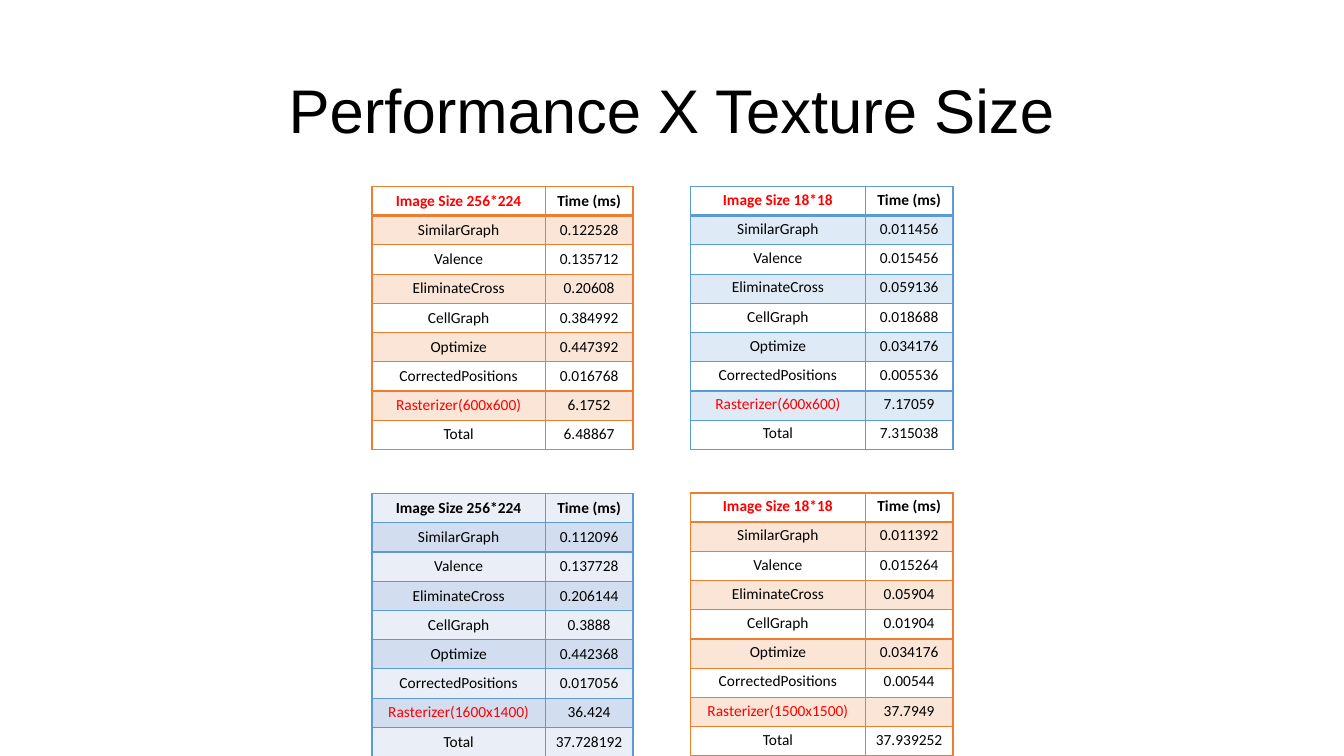
from lxml.etree import SubElement
from pptx import Presentation
from pptx.dml.color import RGBColor
from pptx.enum.text import MSO_ANCHOR, PP_ALIGN
from pptx.oxml.ns import qn
from pptx.util import Pt

COLORS = {
    "black": "000000", "red": "FF0000",
    "blue": "5B9BD5", "blue_band": "DEEBF7",
    "orange": "ED7D31", "orange_band": "FBE5D6",
    "pale": "EAEFF7", "pale_band": "D2DEEF",
}
STAGES = ["SimilarGraph", "Valence", "EliminateCross", "CellGraph",
          "Optimize", "CorrectedPositions"]
ROW_HEIGHT = 20.88
TIME_WIDTH = 62.64

# Per table: left, top, stage column width, side and top insets,
# line, plain fill, band fill, header colour, header underline,
# image size, raster size, times
TABLES = [
    (493.2, 133.2, 124.9, 5.76, 2.88, "blue", None, "blue_band", "red", 2,
     "18*18", "600x600",
     ["0.011456", "0.015456", "0.059136", "0.018688", "0.034176",
      "0.005536", "7.17059", "7.315038"]),
    (265.68, 133.2, 123.84, 7.2, 3.6, "orange", None, "orange_band", "red", 2,
     "256*224", "600x600",
     ["0.122528", "0.135712", "0.20608", "0.384992", "0.447392",
      "0.016768", "6.1752", "6.48867"]),
    (493.2, 352.08, 124.9, 5.76, 2.88, "orange", None, "orange_band", "red", 2,
     "18*18", "1500x1500",
     ["0.011392", "0.015264", "0.05904", "0.01904", "0.034176",
      "0.00544", "37.7949", "37.939252"]),
    (265.68, 352.6, 123.84, 7.2, 3.6, "blue", "pale", "pale_band", "black", 1,
     "256*224", "1600x1400",
     ["0.112096", "0.137728", "0.206144", "0.3888", "0.442368",
      "0.017056", "36.424", "37.728192"]),
]


def format_run(p, font, size, color, bold=False):
    p.alignment = PP_ALIGN.CENTER
    r = p.runs[0]
    r.font.name = font
    r.font.size = Pt(size)
    r.font.bold = bold
    r.font.color.rgb = RGBColor.from_string(COLORS[color])


def set_borders(cell, color, bottom):
    tc_pr = cell._tc.get_or_add_tcPr()
    for side, width in (("L", 1), ("R", 1), ("T", 1), ("B", bottom)):
        ln = SubElement(tc_pr, qn("a:ln" + side), w=str(Pt(width)))
        fill = SubElement(ln, qn("a:solidFill"))
        SubElement(fill, qn("a:srgbClr"), val=COLORS[color])


prs = Presentation()
prs.slide_width, prs.slide_height = Pt(960), Pt(540)
s = prs.slides.add_slide(prs.slide_layouts[6])

# Title
sp = s.shapes.add_textbox(Pt(66), Pt(28.8), Pt(828), Pt(104.4))
tf = sp.text_frame
tf.word_wrap = True
tf.vertical_anchor = MSO_ANCHOR.MIDDLE
tf.text = "Performance X Texture Size"
p = tf.paragraphs[0]
p.line_spacing = 0.9
format_run(p, "Arial", 44, "black")

# Timing tables
for (left, top, stage_width, side_inset, top_inset, line, plain, band,
     header_color, underline, image_size, raster_size, times) in TABLES:
    labels = [f"Image Size {image_size}", *STAGES,
              f"Rasterizer({raster_size})", "Total"]
    rows = list(zip(labels, ["Time (ms)", *times]))
    frame = s.shapes.add_table(len(rows), 2, Pt(left), Pt(top),
                               Pt(stage_width + TIME_WIDTH),
                               Pt(ROW_HEIGHT * len(rows)))
    table = frame.table
    table.first_row = table.horz_banding = False
    table.columns[0].width = Pt(stage_width)
    table.columns[1].width = Pt(TIME_WIDTH)

    for i, values in enumerate(rows):
        table.rows[i].height = Pt(ROW_HEIGHT)
        for j, value in enumerate(values):
            cell = table.cell(i, j)
            cell.margin_left = cell.margin_right = Pt(side_inset)
            cell.margin_top = cell.margin_bottom = Pt(top_inset)
            set_borders(cell, line, underline if i == 0 else 1)

            # Odd rows are banded
            shade = band if i % 2 else plain
            if shade:
                cell.fill.solid()
                cell.fill.fore_color.rgb = RGBColor.from_string(COLORS[shade])
            else:
                cell.fill.background()

            color = "black"
            if j == 0 and i == 0:
                color = header_color
            elif value.startswith("Rasterizer"):
                color = "red"
            cell.text_frame.text = value
            format_run(cell.text_frame.paragraphs[0], "Calibri", 11, color,
                       bold=i == 0)

prs.save("out.pptx")
